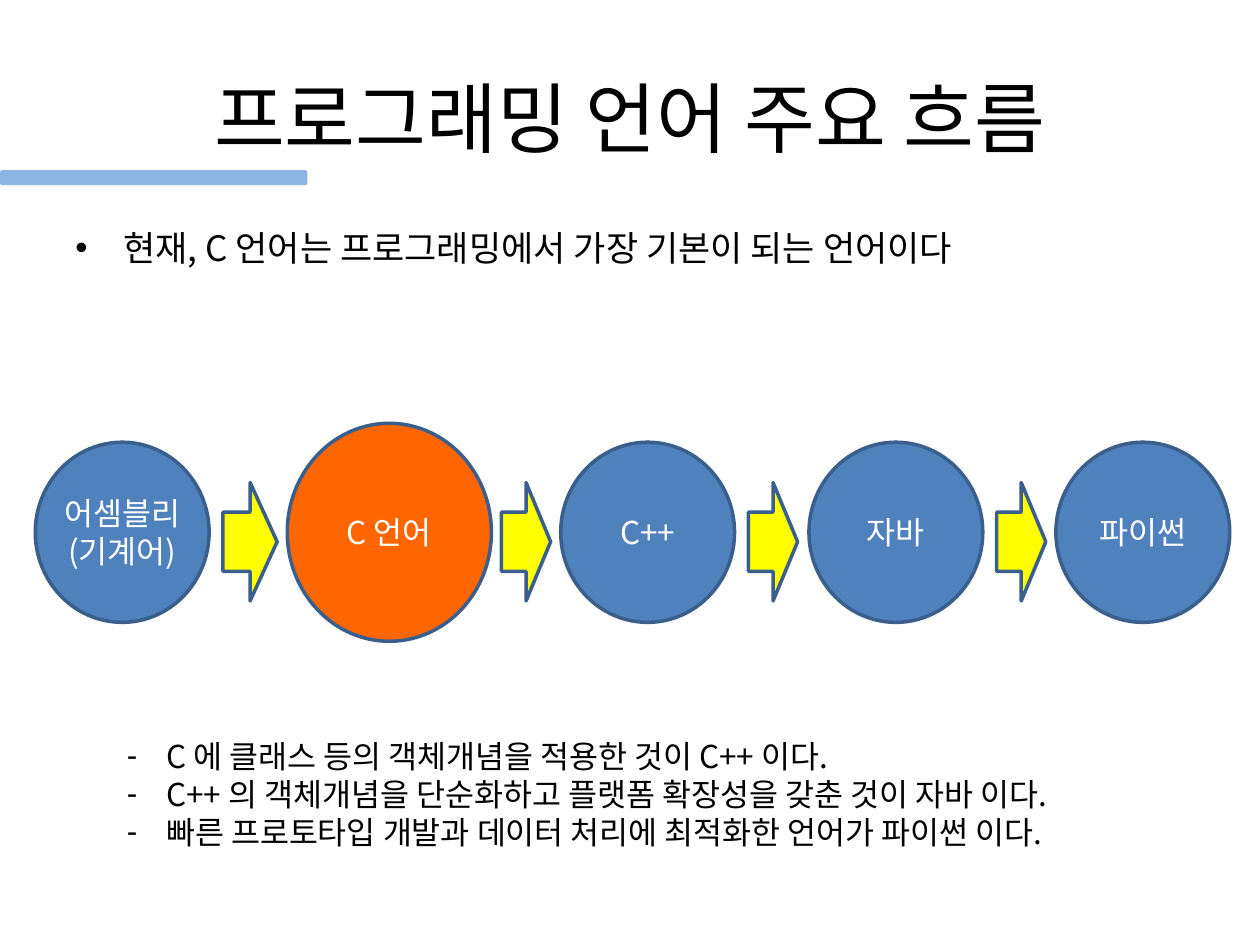
import pptx
import pptx.util
import pptx.dml.color
import pptx.enum.shapes
import pptx.enum.text
import pptx.oxml.ns
import lxml.etree

Inches = pptx.util.Inches
Pt = pptx.util.Pt
RGBColor = pptx.dml.color.RGBColor
SHAPE = pptx.enum.shapes.MSO_SHAPE
ALIGN = pptx.enum.text.PP_ALIGN
ANCHOR = pptx.enum.text.MSO_ANCHOR
qn = pptx.oxml.ns.qn

FONT = "Noto Sans CJK KR"
BLACK = RGBColor(0x00, 0x00, 0x00)
WHITE = RGBColor(0xFF, 0xFF, 0xFF)
BLUE = RGBColor(0x4F, 0x81, 0xBD)
ORANGE = RGBColor(0xFF, 0x66, 0x00)
YELLOW = RGBColor(0xFF, 0xFF, 0x00)
OUTLINE = RGBColor(0x3A, 0x5F, 0x8C)
LIGHT_BLUE = RGBColor(0x8E, 0xB4, 0xE3)


def write(box, text, size, color, align=ALIGN.LEFT, anchor=ANCHOR.TOP, wrap=True, bullet=None, indent=0):
    frame = box.text_frame
    frame.text = text
    frame.word_wrap = wrap
    frame.vertical_anchor = anchor
    for para in frame.paragraphs:
        para.alignment = align
        if bullet:
            properties = para._p.get_or_add_pPr()
            properties.set("marL", str(Inches(indent)))
            properties.set("indent", str(-Inches(indent)))
            lxml.etree.SubElement(properties, qn("a:buFont")).set("typeface", "Arial")
            lxml.etree.SubElement(properties, qn("a:buChar")).set("char", bullet)
        for span in para.runs:
            span.font.size = Pt(size)
            span.font.name = FONT
            span.font.color.rgb = color
            lxml.etree.SubElement(span._r.rPr, qn("a:ea")).set("typeface", FONT)


def draw(page, kind, left, top, width, height, fill, outlined=True):
    shape = page.shapes.add_shape(kind, Inches(left), Inches(top), Inches(width), Inches(height))
    shape.shadow.inherit = False
    shape.fill.solid()
    shape.fill.fore_color.rgb = fill
    if outlined:
        shape.line.color.rgb = OUTLINE
        shape.line.width = Pt(2)
    else:
        shape.line.fill.background()
    return shape


deck = pptx.Presentation()
deck.slide_width = Inches(10)
deck.slide_height = Inches(7.5)
page = deck.slides.add_slide(deck.slide_layouts[6])

title = page.shapes.add_textbox(Inches(0.5), Inches(0.3), Inches(9), Inches(1.25))
write(title, "프로그래밍 언어 주요 흐름", 44, BLACK, ALIGN.CENTER, ANCHOR.MIDDLE)

body = page.shapes.add_textbox(Inches(0.5), Inches(1.75), Inches(9), Inches(4.95))
write(body, "현재, C 언어는 프로그래밍에서 가장 기본이 되는 언어이다", 20, BLACK, bullet="•", indent=0.38)
body.text_frame.paragraphs[0].space_before = Pt(4)

languages = [
    ("어셈블리\n(기계어)", 0.28, 3.51, 1.38, 1.43, BLUE),
    ("C 언어", 2.28, 3.36, 1.62, 1.73, ORANGE),
    ("C++", 4.45, 3.51, 1.38, 1.43, BLUE),
    ("자바", 6.42, 3.51, 1.38, 1.43, BLUE),
    ("파이썬", 8.38, 3.51, 1.38, 1.43, BLUE),
]
for name, left, top, width, height, fill in languages:
    circle = draw(page, SHAPE.OVAL, left, top, width, height, fill)
    write(circle, name, 18, WHITE, ALIGN.CENTER, ANCHOR.MIDDLE, wrap=False)

for left, width in [(1.77, 0.43), (3.98, 0.39), (5.94, 0.39), (7.91, 0.39)]:
    draw(page, SHAPE.RIGHT_ARROW, left, 3.83, width, 0.94, YELLOW)

notes = page.shapes.add_textbox(Inches(0.91), Inches(5.8), Inches(8.46), Inches(1.01))
explanations = [
    "C 에 클래스 등의 객체개념을 적용한 것이 C++ 이다.",
    "C++ 의 객체개념을 단순화하고 플랫폼 확장성을 갖춘 것이 자바 이다.",
    "빠른 프로토타입 개발과 데이터 처리에 최적화한 언어가 파이썬 이다.",
]
write(notes, "\n".join(explanations), 18, BLACK, bullet="-", indent=0.31)

draw(page, SHAPE.ROUNDED_RECTANGLE, 0, 1.35, 2.44, 0.12, LIGHT_BLUE, outlined=False)

deck.save("out.pptx")
